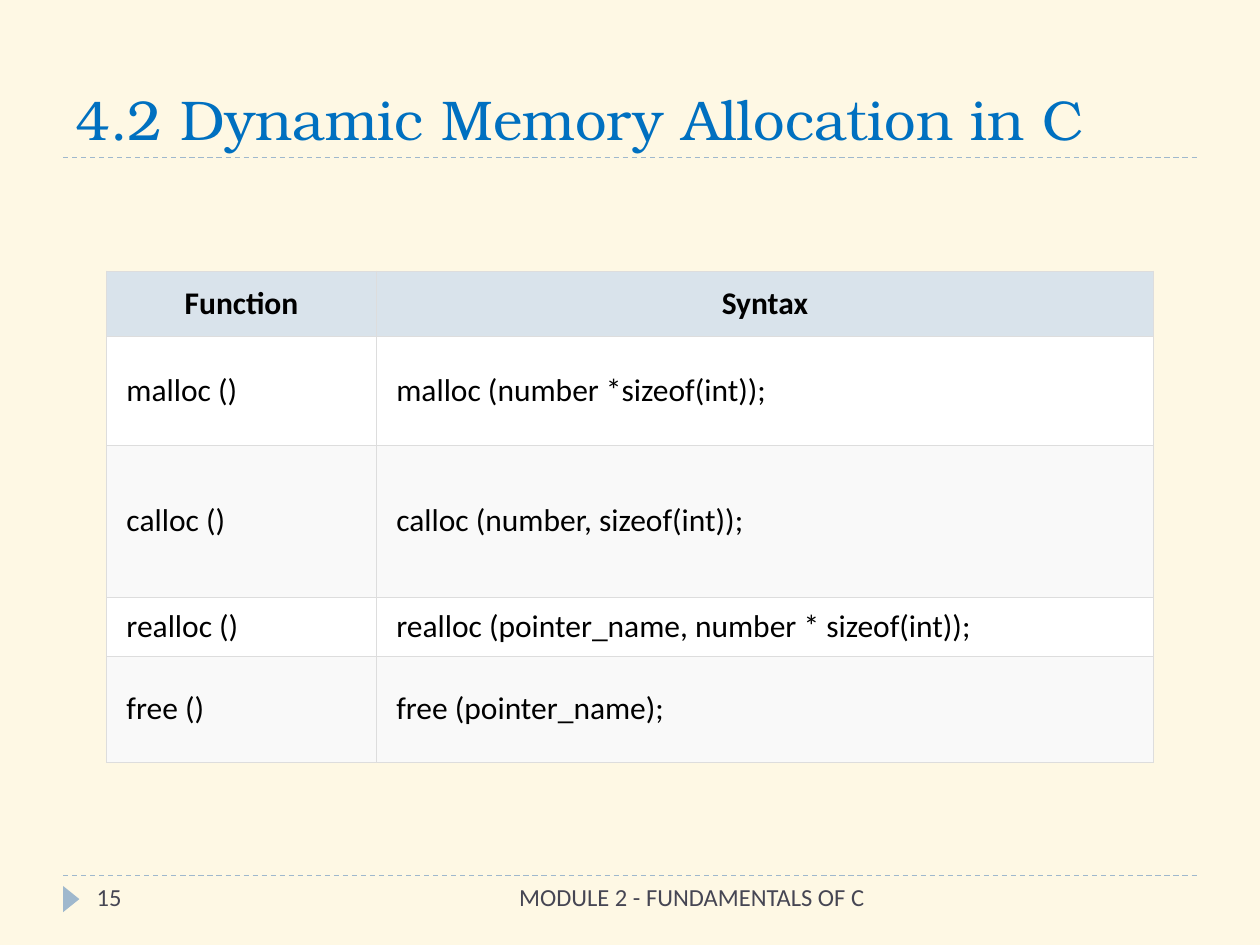
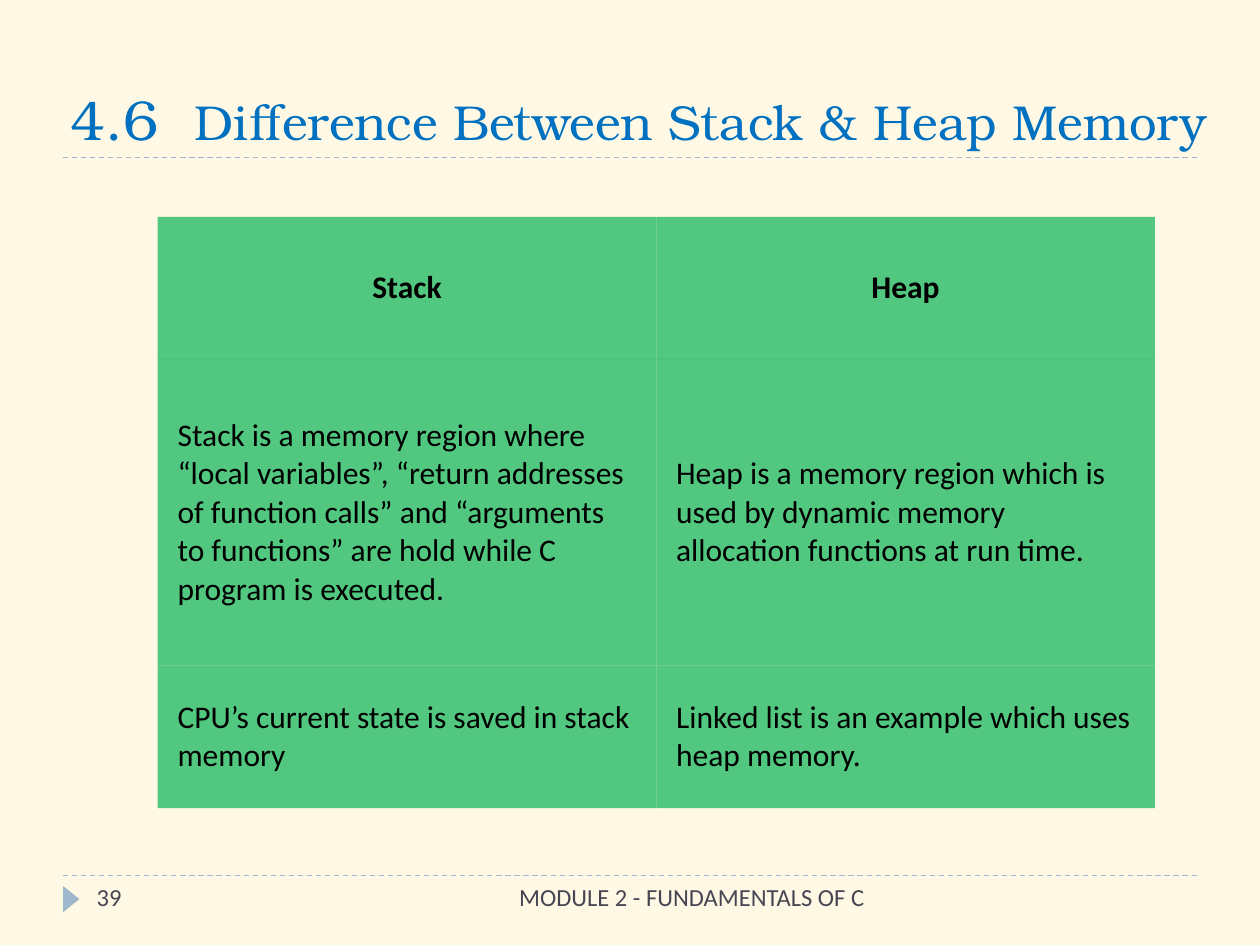
from lxml import etree
from pptx import Presentation
from pptx.dml.color import RGBColor
from pptx.enum.dml import MSO_LINE
from pptx.enum.shapes import MSO_CONNECTOR, MSO_SHAPE
from pptx.enum.text import MSO_ANCHOR, PP_ALIGN
from pptx.oxml.ns import qn
from pptx.util import Cm, Pt

STRAIGHT = MSO_CONNECTOR.STRAIGHT
TRIANGLE = MSO_SHAPE.ISOSCELES_TRIANGLE
DASH = MSO_LINE.DASH
TOP, MIDDLE, BOTTOM = MSO_ANCHOR.TOP, MSO_ANCHOR.MIDDLE, MSO_ANCHOR.BOTTOM
LEFT, CENTER, RIGHT = PP_ALIGN.LEFT, PP_ALIGN.CENTER, PP_ALIGN.RIGHT

COLORS = {
    "background": "FEF8E4",
    "accent": "9FB8CD",
    "title": "0070C0",
    "footer": "464653",
    "text": "000000",
    "header": "D9E3EB",
    "odd_row": "FFFFFF",
    "even_row": "F9F9F9",
    "border": "DDDDDD",
    "green": "00B050",
}
TITLE_FONT, BODY_FONT = "TeX Gyre Bonum", "Calibri"
FOOTER = "MODULE 2 - FUNDAMENTALS OF C"
TITLE_RULE, FOOTER_RULE = 3.18, 17.65
TITLE_HEIGHT = 2.74


def rgb(name):
    return RGBColor.from_string(COLORS[name])


class Deck:
    """Holds the shared style and the slide being built."""

    def __init__(self):
        self.presentation = Presentation()
        self.presentation.slide_width = Cm(25.4)
        self.presentation.slide_height = Cm(19.05)
        self.slide = None

    def add_slide(self, number):
        self.slide = self.presentation.slides.add_slide(self.presentation.slide_layouts[6])
        background = self.slide.background.fill
        background.solid()
        background.fore_color.rgb = rgb("background")
        # Rules under the title and above the footer
        for y in (FOOTER_RULE, TITLE_RULE):
            self.rule(y)
        self.marker()
        # Footer
        self.footer_text(FOOTER, 8.07, 9.73, RIGHT)
        self.footer_text(str(number), 1.7, 5.51, LEFT)

    def rule(self, y):
        line = self.slide.shapes.add_connector(STRAIGHT, Cm(1.27), Cm(y), Cm(24.13), Cm(y))
        line.line.color.rgb = rgb("accent")
        line.line.width = Pt(0.75)
        line.line.dash_style = DASH
        etree.SubElement(line._element.spPr, qn("a:effectLst"))

    def marker(self):
        shape = self.slide.shapes.add_shape(TRIANGLE, Cm(1.17), Cm(17.96), Cm(0.53), Cm(0.33))
        shape.rotation = 90
        shape.shadow.inherit = False
        shape.fill.solid()
        shape.fill.fore_color.rgb = rgb("accent")
        shape.line.fill.background()

    def text_box(self, left, top, width, height, anchor):
        frame = self.slide.shapes.add_textbox(Cm(left), Cm(top), Cm(width), Cm(height)).text_frame
        frame.word_wrap = True
        frame.vertical_anchor = anchor
        return frame

    def style(self, paragraph, font, size, color, align=LEFT, bold=False):
        paragraph.alignment = align
        paragraph.font.name = font
        paragraph.font.size = Pt(size)
        paragraph.font.color.rgb = rgb(color)
        paragraph.font.bold = bold

    def footer_text(self, text, left, width, align):
        frame = self.text_box(left, FOOTER_RULE, width, 1.02, TOP)
        frame.margin_right = Cm(0.37)
        frame.text = text
        self.style(frame.paragraphs[0], BODY_FONT, 14, "footer", align)

    def title(self, parts, left, width, tab=None):
        """Sits on the title rule; parts are (text, size) pairs, tab the stop between them."""
        top = TITLE_RULE - TITLE_HEIGHT
        paragraph = self.text_box(left, top, width, TITLE_HEIGHT, BOTTOM).paragraphs[0]
        if tab:
            tabs = etree.SubElement(paragraph._p.get_or_add_pPr(), qn("a:tabLst"))
            etree.SubElement(tabs, qn("a:tab"), pos=str(Cm(tab)), algn="l")
        self.style(paragraph, TITLE_FONT, parts[0][1], "title")
        for text, size in parts:
            run = paragraph.add_run()
            run.text = text
            run.font.size = Pt(size)

    def table(self, rows, left, top, widths, heights, fills, border=None, opacity=100):
        table = self.slide.shapes.add_table(
            len(rows), len(widths), Cm(left), Cm(top), Cm(sum(widths)), Cm(sum(heights))
        ).table
        table.first_row = table.horz_banding = False
        for column, width in zip(table.columns, widths):
            column.width = Cm(width)
        for row_index, (row, height, fill) in enumerate(zip(rows, heights, fills)):
            table.rows[row_index].height = Cm(height)
            is_header = row_index == 0
            for column_index, text in enumerate(row):
                cell = table.cell(row_index, column_index)
                cell.text = text
                cell.vertical_anchor = MIDDLE
                cell.margin_left = cell.margin_right = Cm(0.4)
                self.style(cell.text_frame.paragraphs[0], BODY_FONT, 18, "text",
                           CENTER if is_header else LEFT, is_header)
                self.cell_borders(cell, border)
                self.cell_fill(cell, fill, opacity)

    def cell_borders(self, cell, border):
        properties = cell._tc.get_or_add_tcPr()
        for side in ("a:lnL", "a:lnR", "a:lnT", "a:lnB"):
            line = etree.SubElement(properties, qn(side), w=str(Pt(0.34)))
            if border:
                solid = etree.SubElement(line, qn("a:solidFill"))
                etree.SubElement(solid, qn("a:srgbClr"), val=COLORS[border])
            else:
                etree.SubElement(line, qn("a:noFill"))

    def cell_fill(self, cell, color, opacity):
        cell.fill.solid()
        cell.fill.fore_color.rgb = rgb(color)
        if opacity < 100:
            fill_color = cell._tc.tcPr.find(qn("a:solidFill"))[0]
            etree.SubElement(fill_color, qn("a:alpha"), val=str(opacity * 1000))


def allocation_slide(deck):
    deck.add_slide(15)
    deck.title([("4.2 Dynamic Memory Allocation in C", 32)], 1.27, 22.86)
    functions = [
        ("Function", "Syntax"),
        ("malloc ()", "malloc (number *sizeof(int));"),
        ("calloc ()", "calloc (number, sizeof(int));"),
        ("realloc ()", "realloc (pointer_name, number * sizeof(int));"),
        ("free ()", "free (pointer_name);"),
    ]
    deck.table(functions, 2.15, 5.46, [5.44, 15.66], [1.31, 2.21, 3.05, 1.19, 2.14],
               ["header"] + ["odd_row", "even_row"] * 2, border="border")


def stack_heap_slide(deck):
    deck.add_slide(39)
    deck.title([("4.6\t", 32), ("Difference Between Stack & Heap Memory", 28)],
               1.17, 24.13, tab=2.5)
    comparison = [
        ("Stack", "Heap"),
        ("Stack is a memory region where “local variables”, “return addresses of function "
         "calls” and “arguments to functions” are hold while C program is executed.",
         "Heap is a memory region which is used by dynamic memory allocation functions "
         "at run time."),
        ("CPU’s current state is saved in stack memory",
         "Linked list is an example which uses heap memory."),
    ]
    deck.table(comparison, 3.18, 4.37, [10.05] * 2, [2.87, 6.18, 2.87],
               ["green"] * 3, opacity=68)


def main():
    deck = Deck()
    allocation_slide(deck)
    stack_heap_slide(deck)
    deck.presentation.save("out.pptx")


if __name__ == "__main__":
    main()
